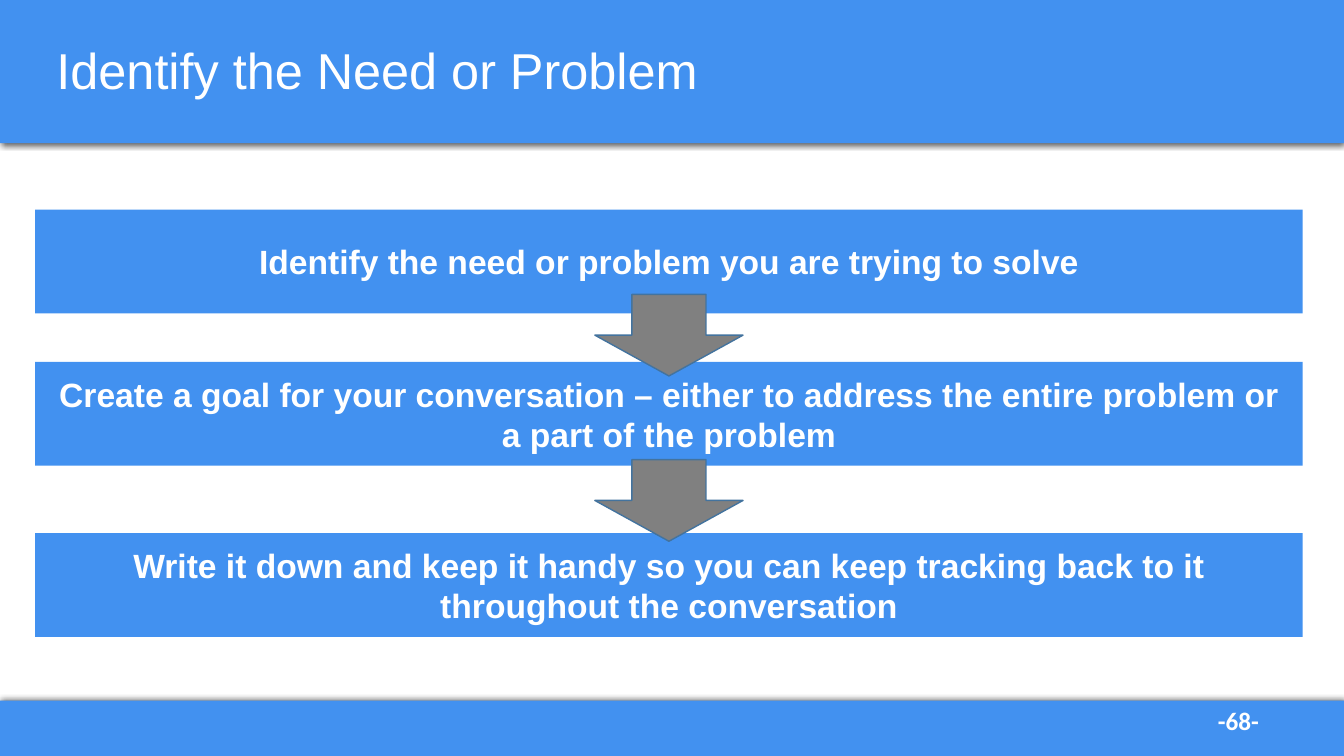
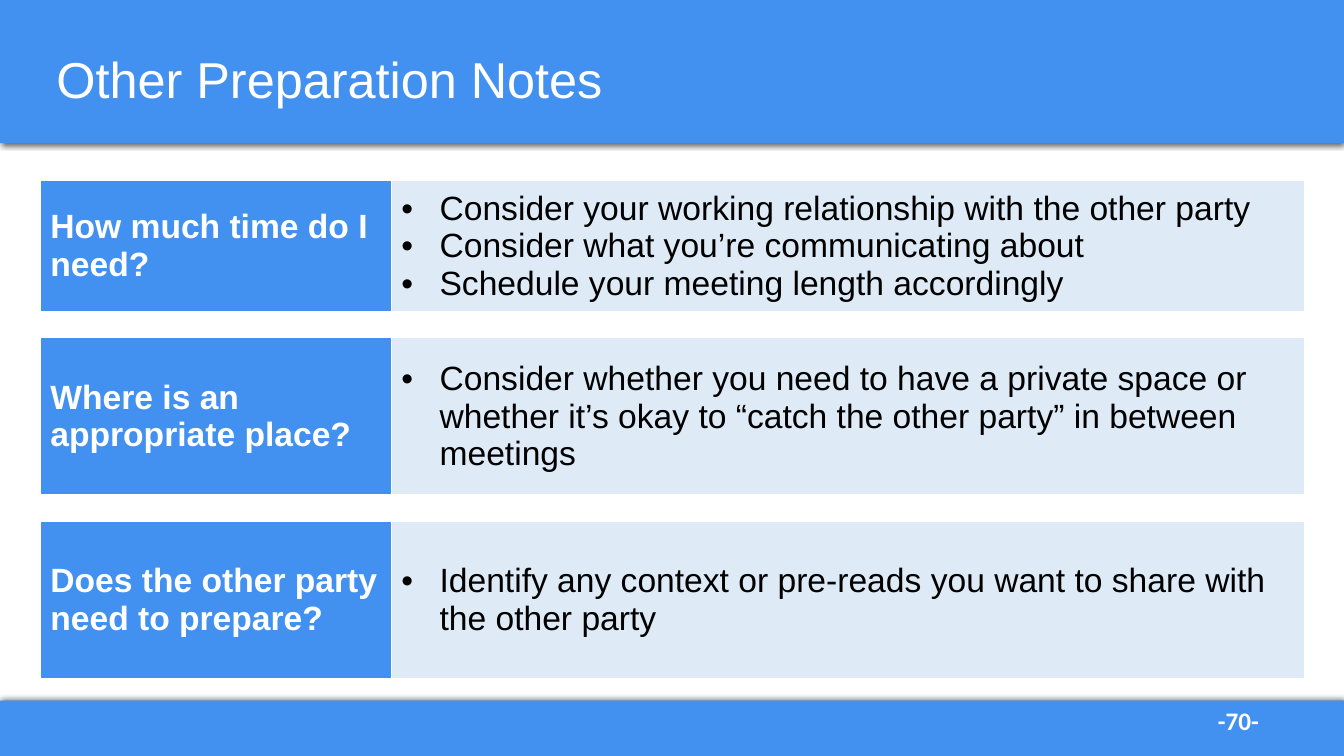
from dataclasses import dataclass

from lxml.etree import SubElement
from pptx import Presentation
from pptx.dml.color import RGBColor as RGB
from pptx.enum.shapes import MSO_SHAPE as SHAPE
from pptx.enum.text import MSO_ANCHOR as ANCHOR, PP_ALIGN as ALIGN
from pptx.oxml.ns import qn
from pptx.util import Inches, Pt


@dataclass(frozen=True)
class Theme:
    blue: str = "4291F0"
    pale: str = "DEEBF7"
    grey: str = "808080"
    outline: str = "43739E"
    white: str = "FFFFFF"
    black: str = "000000"
    font: str = "Arial"
    number_font: str = "Calibri"
    title_size: int = 36
    body_size: int = 24
    number_size: int = 18
    gap_size: int = 6


T = Theme()
WIDTH, HEIGHT = 13.33, 7.5
TITLE_ONLY = 5


def add_xml(parent, tag, **attrs):
    return SubElement(parent, qn(tag), {k: str(v) for k, v in attrs.items()})


def inches(box):
    return [Inches(v) for v in box]


def style(p, size, color, bold=False, font=T.font):
    p.font.size, p.font.bold, p.font.name = Pt(size), bold, font
    p.font.color.rgb = RGB.from_string(color)


def add_block(slide, kind, box, fill, line=None):
    sp = slide.shapes.add_shape(kind, *inches(box))
    sp.shadow.inherit = False
    sp.fill.solid()
    sp.fill.fore_color.rgb = RGB.from_string(fill)
    if line:
        sp.line.color.rgb = RGB.from_string(line)
        sp.line.width = Pt(1)
    else:
        sp.line.fill.background()
    return sp


# Shared frame: bands on the layout, title and page number on each slide
def add_band(slide, layout, box, shadow_angle):
    sp = add_block(slide, SHAPE.RECTANGLE, box, T.blue)
    effects = sp._element.spPr.find(qn("a:effectLst"))
    shadow = add_xml(effects, "a:outerShdw", blurRad=Pt(4), dist=Pt(1),
                     dir=shadow_angle * 60000, algn="ctr", rotWithShape=0)
    color = add_xml(shadow, "a:srgbClr", val=T.black)
    add_xml(color, "a:alpha", val=64000)
    layout.shapes._spTree.insert(2, sp._element)


def add_bands(slide, layout):
    add_band(slide, layout, (0, 0, WIDTH, 1.42), 90)
    add_band(slide, layout, (0, 6.95, WIDTH, 0.55), 270)


def add_frame(slide, title, title_box, number):
    sp = slide.shapes.title
    sp.left, sp.top, sp.width, sp.height = inches(title_box)
    tf = sp.text_frame
    tf.text = title
    tf.vertical_anchor = ANCHOR.MIDDLE
    p = tf.paragraphs[0]
    p.alignment, p.line_spacing = ALIGN.LEFT, 0.9
    style(p, T.title_size, T.white)

    tf = slide.shapes.add_textbox(*inches((11.98, 6.95, 0.98, 0.4))).text_frame
    tf.word_wrap = True
    tf.text = f"-{number}-"
    style(tf.paragraphs[0], T.number_size, T.white, True, T.number_font)


# Stacked steps joined by down arrows
def add_steps(slide, box, steps, step_tops, arrow_tops):
    left, top, width, step_height = box
    for text, offset in zip(steps, step_tops):
        sp = add_block(slide, SHAPE.RECTANGLE,
                       (left, top + offset, width, step_height), T.blue)
        tf = sp.text_frame
        tf.word_wrap = True
        tf.vertical_anchor = ANCHOR.MIDDLE
        tf.text = text
        p = tf.paragraphs[0]
        p.alignment = ALIGN.CENTER
        style(p, T.body_size, T.white, True)

    arrow_width, arrow_height = 1.47, 0.81
    for offset in arrow_tops:
        add_block(slide, SHAPE.DOWN_ARROW,
                  (left + (width - arrow_width) / 2, top + offset,
                   arrow_width, arrow_height), T.grey, T.outline)


# Question table with thin merged rows as gaps
def format_cell(cell, fill):
    cell.vertical_anchor = ANCHOR.MIDDLE
    tcPr = cell._tc.get_or_add_tcPr()
    for side in ("a:lnL", "a:lnR", "a:lnT", "a:lnB"):
        line = add_xml(tcPr, side, w=Pt(1))
        add_xml(add_xml(line, "a:solidFill"), "a:srgbClr", val=T.white)
    cell.fill.solid()
    cell.fill.fore_color.rgb = RGB.from_string(fill)


def add_bullet(p):
    pPr = p._p.get_or_add_pPr()
    pPr.set("marL", str(Inches(0.38)))
    pPr.set("indent", str(-Inches(0.38)))
    add_xml(pPr, "a:buFont", typeface=T.font)
    add_xml(pPr, "a:buChar", char="•")


def fill_gap(first, last):
    first.merge(last)
    for cell in (first, last):
        format_cell(cell, T.white)
        cell.margin_top = cell.margin_bottom = 0
        add_xml(cell.text_frame.paragraphs[0]._p, "a:endParaRPr",
                sz=T.gap_size * 100)


def fill_question(label, answer, question, notes):
    format_cell(label, T.blue)
    label.text = question
    style(label.text_frame.paragraphs[0], T.body_size, T.white, True)

    format_cell(answer, T.pale)
    answer.text = "\n".join(notes)
    for p in answer.text_frame.paragraphs:
        add_bullet(p)
        style(p, T.body_size, T.black)


def add_questions(slide, box, questions, heights, gap):
    count = 2 * len(questions) - 1
    frame = slide.shapes.add_table(count, 2, *inches(box))
    table = frame.table
    table.first_row = table.horz_banding = False
    label_width = 3.48
    table.columns[0].width = Inches(label_width)
    table.columns[1].width = Inches(box[2] - label_width)

    for i in range(count):
        label, answer = table.cell(i, 0), table.cell(i, 1)
        if i % 2:
            table.rows[i].height = Inches(gap)
            fill_gap(label, answer)
        else:
            table.rows[i].height = Inches(heights[i // 2])
            fill_question(label, answer, *questions[i // 2])


STEPS = (
    "Identify the need or problem you are trying to solve",
    "Create a goal for your conversation – either to address the entire "
    "problem or a part of the problem",
    "Write it down and keep it handy so you can keep tracking back to it "
    "throughout the conversation",
)
QUESTIONS = (
    ("How much time do I need?",
     ("Consider your working relationship with the other party",
      "Consider what you’re communicating about",
      "Schedule your meeting length accordingly")),
    ("Where is an appropriate place?",
     ("Consider whether you need to have a private space or whether it’s "
      "okay to “catch the other party” in between meetings",)),
    ("Does the other party need to prepare?",
     ("Identify any context or pre-reads you want to share with the other "
      "party",)),
)


def main():
    prs = Presentation()
    prs.slide_width, prs.slide_height = Inches(WIDTH), Inches(HEIGHT)
    layout = prs.slide_layouts[TITLE_ONLY]

    slide = prs.slides.add_slide(layout)
    add_bands(slide, layout)
    add_frame(slide, "Identify the Need or Problem", (0.46, 0, 12.42, 1.45), 68)
    add_steps(slide, (0.35, 2.08, 12.57, 1.03), STEPS,
              step_tops=(0, 1.51, 3.21), arrow_tops=(0.84, 2.48))

    slide = prs.slides.add_slide(layout)
    add_frame(slide, "Other Preparation Notes", (0.46, 0.3, 12.42, 1.04), 70)
    add_questions(slide, (0.4, 1.79, 12.54, 4.85), QUESTIONS,
                  heights=(1.21, 1.56, 1.56), gap=0.26)

    prs.save("out.pptx")


if __name__ == "__main__":
    main()
